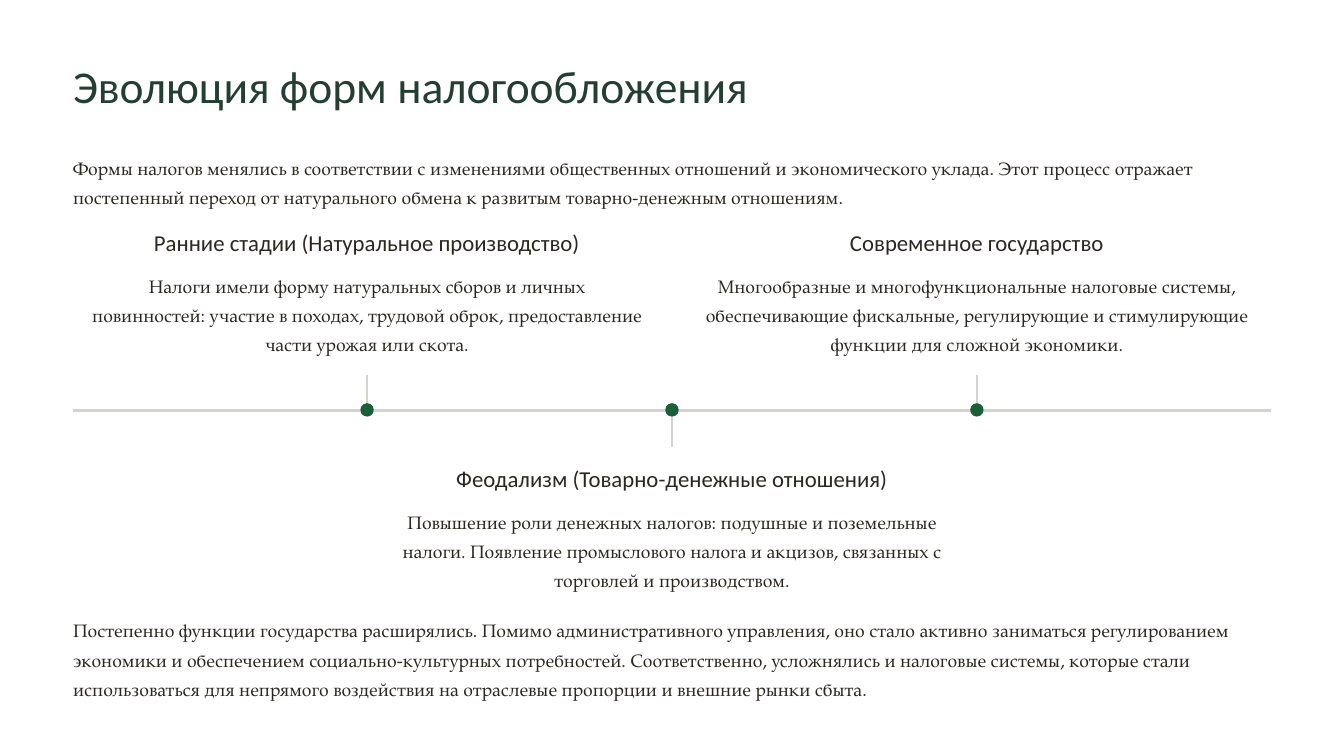
import pptx
import pptx.util
import pptx.dml.color
import pptx.enum.shapes
import pptx.enum.text
import pptx.oxml.ns
import lxml.etree

Inches = pptx.util.Inches
Pt = pptx.util.Pt

COLORS = {
    "background": "FFFFFF",
    "title": "233E32",
    "text": "2C2821",
    "axis": "D6D3CC",
    "dot": "1B5F39",
}
HEADING_FONT = "Calibri"
BODY_FONT = "TeX Gyre Pagella"

MARGIN = 0.87
CONTENT_WIDTH = 14.26
AXIS_Y = 4.89
FIRST_CENTER = 4.37
CENTER_STEP = 3.63
STEM_LENGTH = 0.43
DOT_SIZE = 0.16
STAGE_WIDTH = 6.56

INTRO = "Формы налогов менялись в соответствии с изменениями общественных отношений и экономического уклада. Этот процесс отражает постепенный переход от натурального обмена к развитым товарно-денежным отношениям."
STAGES = [
    ("Ранние стадии (Натуральное производство)", 5.56, True,
     "Налоги имели форму натуральных сборов и личных повинностей: участие в походах, трудовой оброк, предоставление части урожая или скота."),
    ("Феодализм (Товарно-денежные отношения)", 5.64, False,
     "Повышение роли денежных налогов: подушные и поземельные налоги. Появление промыслового налога и акцизов, связанных с торговлей и производством."),
    ("Современное государство", 3.31, True,
     "Многообразные и многофункциональные налоговые системы, обеспечивающие фискальные, регулирующие и стимулирующие функции для сложной экономики."),
]
CONCLUSION = "Постепенно функции государства расширялись. Помимо административного управления, оно стало активно заниматься регулированием экономики и обеспечением социально-культурных потребностей. Соответственно, усложнялись и налоговые системы, которые стали использоваться для непрямого воздействия на отраслевые пропорции и внешние рынки сбыта."


def color(name):
    return pptx.dml.color.RGBColor.from_string(COLORS[name])


class TimelineSlide:
    def __init__(self, deck):
        self.page = deck.slides.add_slide(deck.slide_layouts[6])
        background = self.page.background.fill
        background.solid()
        background.fore_color.rgb = color("background")

    def text(self, text, left, top, width, height, size=15.5, font=BODY_FONT,
             ink="text", spacing=25, wrap=True, centered=False):
        box = self.page.shapes.add_textbox(
            Inches(left), Inches(top), Inches(width), Inches(height))
        frame = box.text_frame
        frame.word_wrap = wrap
        frame.margin_left = frame.margin_right = 0
        frame.margin_top = frame.margin_bottom = 0
        para = frame.paragraphs[0]
        alignment = pptx.enum.text.PP_ALIGN
        para.alignment = alignment.CENTER if centered else alignment.LEFT
        para.line_spacing = Pt(spacing)
        span = para.add_run()
        span.text = text
        span.font.size = Pt(size)
        span.font.name = font
        span.font.color.rgb = color(ink)

    def line(self, start_x, start_y, end_x, end_y):
        connector = self.page.shapes.add_connector(
            pptx.enum.shapes.MSO_CONNECTOR.STRAIGHT,
            Inches(start_x), Inches(start_y), Inches(end_x), Inches(end_y))
        connector.line.color.rgb = color("axis")
        connector.line.width = Inches(0.03)
        lxml.etree.SubElement(
            connector._element.spPr, pptx.oxml.ns.qn("a:effectLst"))

    def dot(self, center_x, center_y):
        shape = self.page.shapes.add_shape(
            pptx.enum.shapes.MSO_SHAPE.OVAL,
            Inches(center_x - DOT_SIZE / 2), Inches(center_y - DOT_SIZE / 2),
            Inches(DOT_SIZE), Inches(DOT_SIZE))
        shape.shadow.inherit = False
        shape.fill.solid()
        shape.fill.fore_color.rgb = color("dot")
        shape.line.fill.background()

    def stage(self, center, heading, heading_width, above, description):
        stem_end = AXIS_Y - STEM_LENGTH if above else AXIS_Y + STEM_LENGTH
        heading_top = 2.72 if above else 5.53
        self.line(center, AXIS_Y, center, stem_end)
        self.dot(center, AXIS_Y - 0.01)
        self.text(heading, center - heading_width / 2, heading_top,
                  heading_width, 0.34, size=19.5, font=HEADING_FONT,
                  spacing=24, wrap=False, centered=True)
        self.text(description, center - STAGE_WIDTH / 2, heading_top + 0.47,
                  STAGE_WIDTH, 1.04, centered=True)


def main():
    deck = pptx.Presentation()
    deck.slide_width = Inches(16)
    deck.slide_height = Inches(9)
    slide = TimelineSlide(deck)
    slide.text("Эволюция форм налогообложения", MARGIN, 0.67, 9.04, 0.68,
               size=39, font=HEADING_FONT, ink="title", spacing=48.5, wrap=False)
    slide.text(INTRO, MARGIN, 1.78, CONTENT_WIDTH, 0.69)
    slide.line(MARGIN, AXIS_Y, MARGIN + CONTENT_WIDTH, AXIS_Y)
    for index, stage in enumerate(STAGES):
        slide.stage(FIRST_CENTER + index * CENTER_STEP, *stage)
    slide.text(CONCLUSION, MARGIN, 7.29, CONTENT_WIDTH, 1.04)
    deck.save("out.pptx")


if __name__ == "__main__":
    main()
